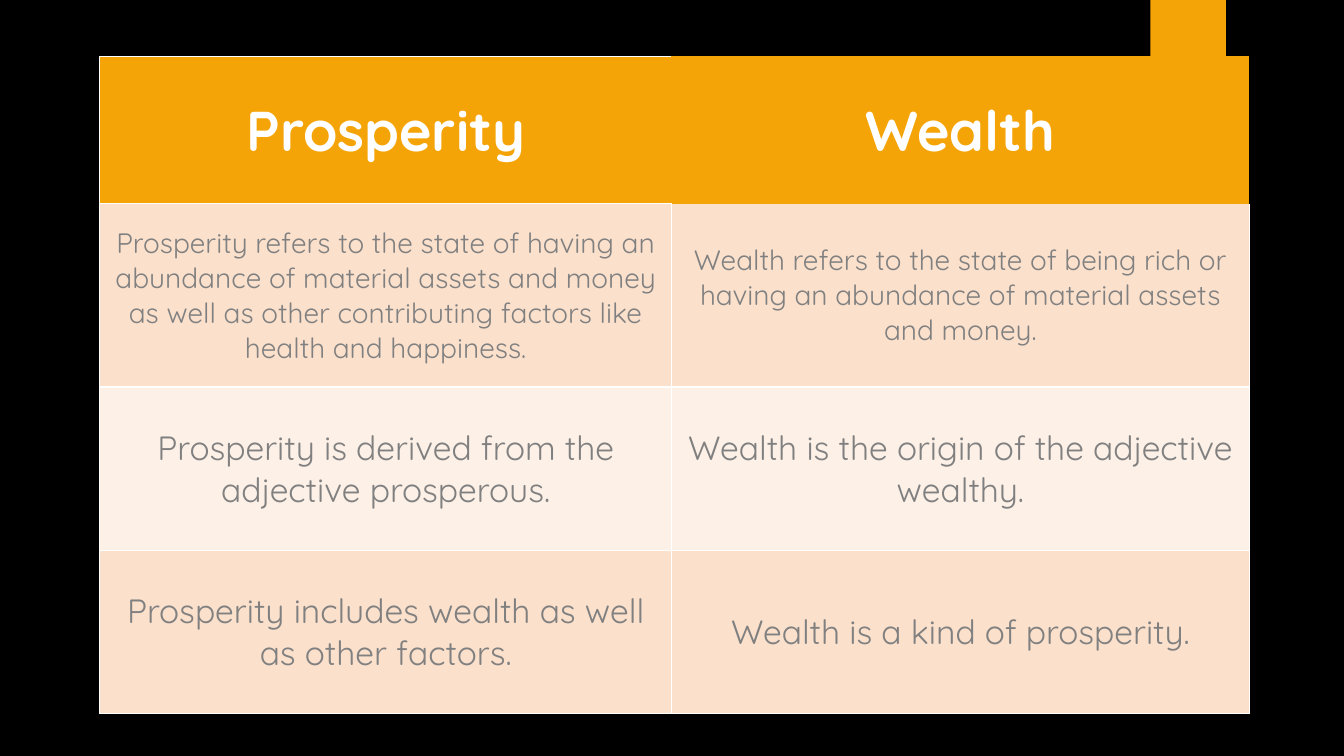
from dataclasses import dataclass

import pptx
import pptx.dml.color
import pptx.enum.shapes
import pptx.enum.text
import pptx.oxml
import pptx.oxml.ns
import pptx.util
from pptx.dml.color import RGBColor
from pptx.util import Inches

BLACK = RGBColor(0x00, 0x00, 0x00)
WHITE = RGBColor(0xFF, 0xFF, 0xFF)
ORANGE = RGBColor(0xF5, 0xA4, 0x08)
PEACH = RGBColor(0xFB, 0xE0, 0xCC)
CREAM = RGBColor(0xFD, 0xF0, 0xE7)
GRAY = RGBColor(0x80, 0x80, 0x80)
FONT = "Quicksand"
SIDES = "LRTB"


@dataclass
class Row:
    height: float
    texts: tuple[str, str]
    size: int
    fill: RGBColor
    color: RGBColor = GRAY
    bold: bool = False
    borders: tuple[str, str] = (SIDES, SIDES)


COL_WIDTHS = (5.67, 5.73)
ROWS = [
    Row(1.46, ("Prosperity", "Wealth"), 40, ORANGE, WHITE, True, ("LTB", "")),
    Row(1.82, (
        "Prosperity refers to the state of having an abundance of material assets "
        "and money as well as other contributing factors like health and happiness.",
        "Wealth refers to the state of being rich or having an abundance of "
        "material assets and money.",
    ), 20, PEACH, borders=(SIDES, "LRB")),
    Row(1.62, ("Prosperity is derived from the adjective prosperous.",
               "Wealth is the origin of the adjective wealthy."), 24, CREAM),
    Row(1.62, ("Prosperity includes wealth as well as other factors.",
               "Wealth is a kind of prosperity."), 24, PEACH),
]


def write_text(tf, text: str, *, size: int, color: RGBColor, bold: bool) -> None:
    p = tf.paragraphs[0]
    p.alignment = pptx.enum.text.PP_ALIGN.CENTER
    r = p.add_run()
    r.text = text
    r.font.name = FONT
    r.font.size = pptx.util.Pt(size)
    r.font.bold = bold
    r.font.color.rgb = color


def set_borders(cell, visible: str) -> None:
    """Draw the named sides as 1 pt white lines and clear the others."""
    tc_pr = cell._tc.get_or_add_tcPr()
    for side in SIDES:
        paint = (f'<a:solidFill><a:srgbClr val="{WHITE}"/></a:solidFill>'
                 if side in visible else "<a:noFill/>")
        tc_pr.append(pptx.oxml.parse_xml(
            f'<a:ln{side} {pptx.oxml.ns.nsdecls("a")} w="12700">{paint}</a:ln{side}>'))


def add_tab(s) -> None:
    sp = s.shapes.add_shape(pptx.enum.shapes.MSO_SHAPE.RECTANGLE,
                            Inches(11.41), 0, Inches(0.75), Inches(1.25))
    sp.shadow.inherit = False
    sp.fill.solid()
    sp.fill.fore_color.rgb = ORANGE
    sp.line.fill.background()


def add_comparison(s) -> None:
    table = s.shapes.add_table(
        len(ROWS), len(COL_WIDTHS), Inches(0.99), Inches(0.56),
        Inches(sum(COL_WIDTHS)), Inches(sum(row.height for row in ROWS))).table
    for column, width in zip(table.columns, COL_WIDTHS):
        column.width = Inches(width)
    for i, row in enumerate(ROWS):
        table.rows[i].height = Inches(row.height)
        for j, text in enumerate(row.texts):
            cell = table.cell(i, j)
            set_borders(cell, row.borders[j])
            cell.fill.solid()
            cell.fill.fore_color.rgb = row.fill
            cell.vertical_anchor = pptx.enum.text.MSO_ANCHOR.MIDDLE
            write_text(cell.text_frame, text, size=row.size,
                       color=row.color, bold=row.bold)


def main() -> None:
    prs = pptx.Presentation()
    prs.slide_width, prs.slide_height = Inches(13.33), Inches(7.5)
    s = prs.slides.add_slide(prs.slide_layouts[6])

    # Background and corner tab
    s.background.fill.solid()
    s.background.fill.fore_color.rgb = BLACK
    add_tab(s)

    # Comparison table
    add_comparison(s)
    prs.save("out.pptx")


if __name__ == "__main__":
    main()
